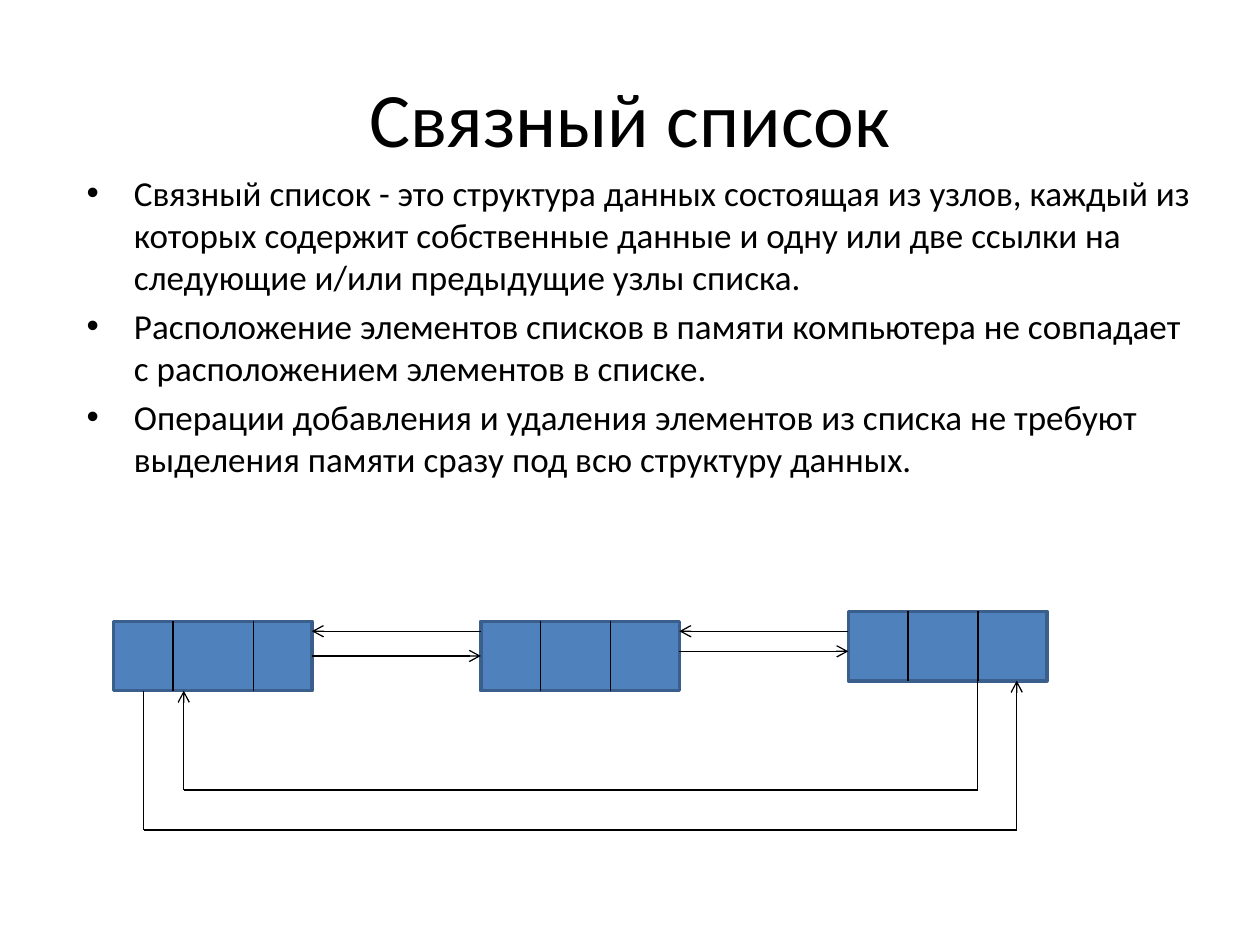
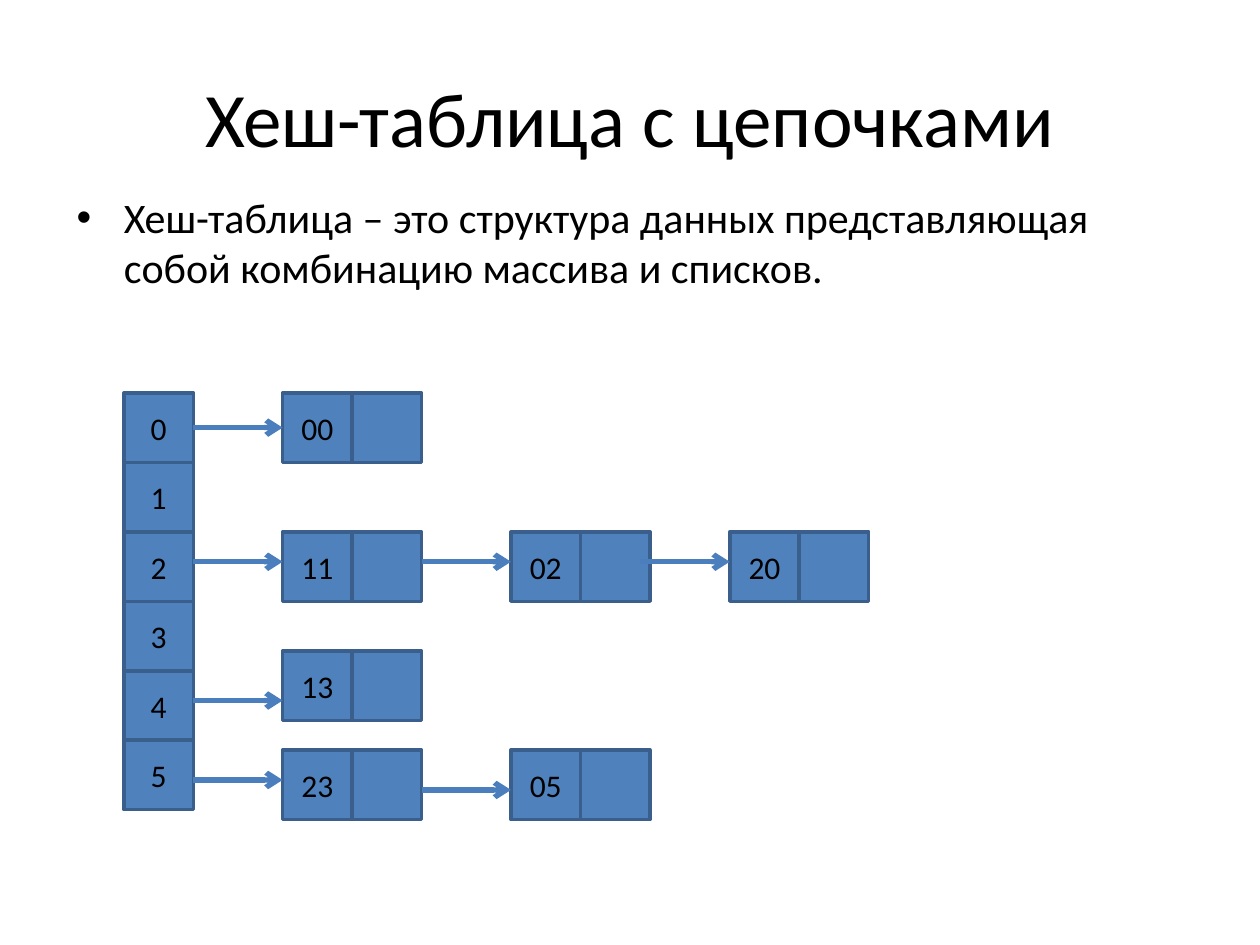
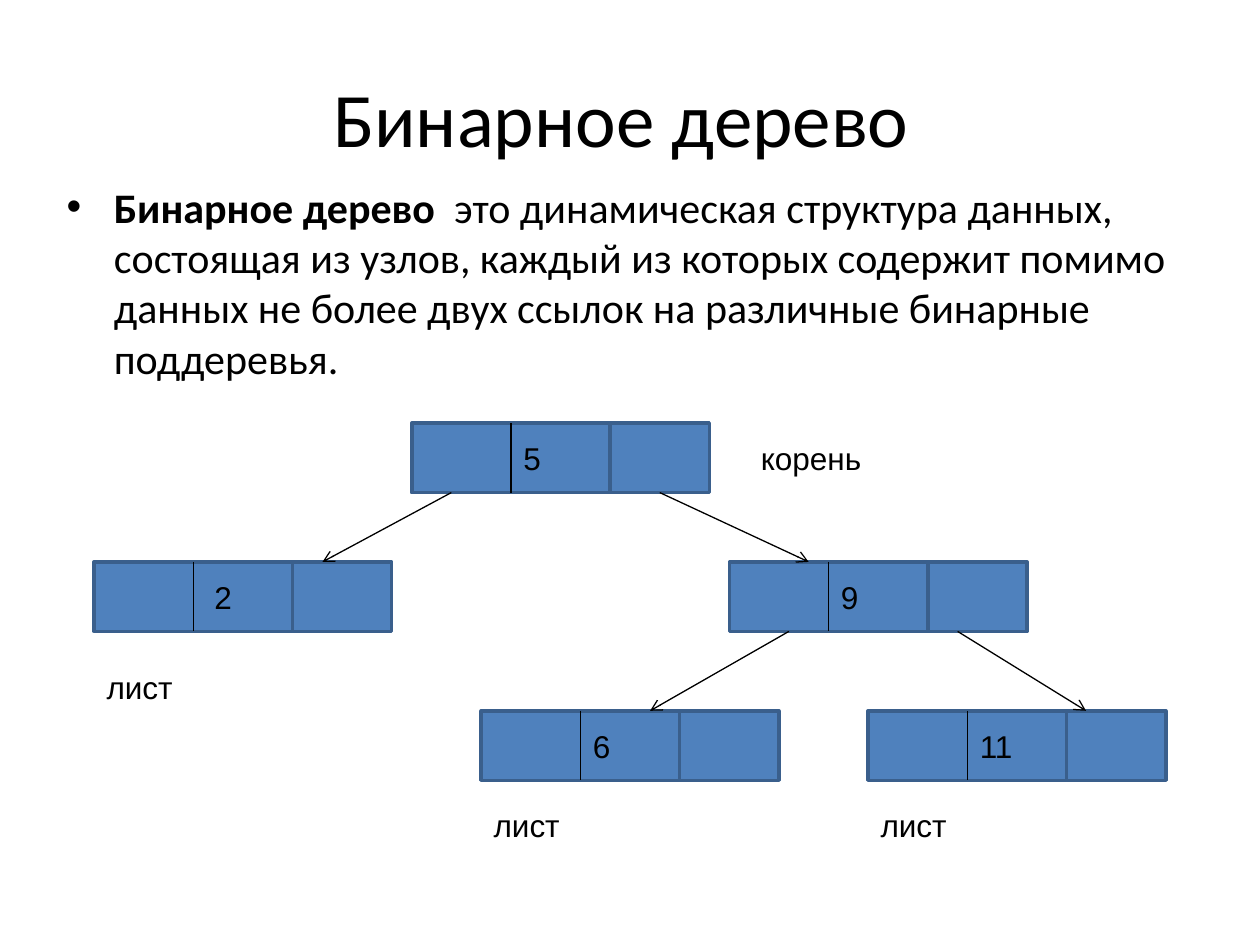
from itertools import pairwise

from lxml.etree import SubElement
from pptx import Presentation
from pptx.dml.color import RGBColor
from pptx.enum.shapes import MSO_CONNECTOR as Connector, MSO_SHAPE as Shape
from pptx.enum.text import MSO_ANCHOR as Anchor, PP_ALIGN as Align
from pptx.oxml.ns import qn
from pptx.util import Pt

rgb = RGBColor.from_string
BLACK, FILL, BORDER, ARROW = "000000", "4F81BD", "3A5F8C", "4B7EBC"
CELL = 39.7
NODE = 113.4
HALF = NODE / 2
BOTTOM, LEFT, RIGHT = 2, 1, 3


def add_text(slide, text, left, top, width, height, *, size=18, font="Calibri",
             align=Align.LEFT, anchor=Anchor.TOP, bullet=False, bold_lead="", filled=False):
    """Add text, one paragraph a line, in a plain box or in a filled rectangle."""
    place = Pt(left), Pt(top), Pt(width), Pt(height)
    if filled:
        box = slide.shapes.add_shape(Shape.RECTANGLE, *place)
        box.shadow.inherit = False
        box.fill.solid()
        box.fill.fore_color.rgb = rgb(FILL)
        box.line.color.rgb = rgb(BORDER)
        box.line.width = Pt(2)
        align, anchor = Align.CENTER, Anchor.MIDDLE
    else:
        box = slide.shapes.add_textbox(*place)
    frame = box.text_frame
    frame.word_wrap = True
    frame.vertical_anchor = anchor
    for i, line in enumerate(text.split("\n")):
        paragraph = frame.add_paragraph() if i else frame.paragraphs[0]
        paragraph.alignment = align
        if bullet:
            paragraph.space_before = Pt(size * 0.2)
            props = paragraph._p.get_or_add_pPr()
            props.set("marL", str(Pt(27)))
            props.set("indent", str(Pt(-27)))
            SubElement(props, qn("a:buFont"), typeface="Arial")
            SubElement(props, qn("a:buChar"), char="•")
        for part, bold in ((bold_lead, True), (line, False)):
            if part:
                run = paragraph.add_run()
                run.text = part
                run.font.name = font
                run.font.size = Pt(size)
                run.font.bold = bold
                run.font.color.rgb = rgb(BLACK)
    return box


def add_line(slide, start, end, *, color=BLACK, width=0.75, arrow=False,
             begin_at=None, end_at=None):
    """Draw a line; begin_at and end_at are (shape, side) pairs to join."""
    line = slide.shapes.add_connector(Connector.STRAIGHT, *map(Pt, (*start, *end)))
    line.line.color.rgb = rgb(color)
    line.line.width = Pt(width)
    if arrow:
        SubElement(line.line._get_or_add_ln(), qn("a:tailEnd"), type="arrow")
    SubElement(line._element.spPr, qn("a:effectLst"))
    if begin_at:
        line.begin_connect(*begin_at)
    if end_at:
        line.end_connect(*end_at)


prs = Presentation()
prs.slide_width, prs.slide_height = Pt(720), Pt(540)

slides = []
for title in ("Связный список", "Хеш-таблица с цепочками", "Бинарное дерево "):
    slide = prs.slides.add_slide(prs.slide_layouts[6])
    add_text(slide, title, 36, 21.6, 648, 90, size=44,
             align=Align.CENTER, anchor=Anchor.MIDDLE)
    slides.append(slide)
linked_list, hash_table, tree = slides

# Linked list
add_text(
    linked_list,
    "Связный список - это структура данных состоящая из узлов, каждый из которых содержит "
    "собственные данные и одну или две ссылки на следующие и/или предыдущие узлы списка.\n"
    "Расположение элементов списков в памяти компьютера не совпадает с расположением "
    "элементов в списке.\n"
    "Операции добавления и удаления элементов из списка не требуют выделения памяти сразу "
    "под всю структуру данных.",
    42.5, 94.3, 648, 206.6, size=20, bullet=True)

nodes = []
for i, (top, second_divider) in enumerate([(355, 80), (355, 74), (349.3, 74)]):
    left = 64.8 + 210 * i
    nodes.append(add_text(linked_list, "", left, top, NODE, CELL, filled=True))
    for offset in (34, second_divider):
        add_line(linked_list, (left + offset, top), (left + offset, top + CELL))

first, second, third = [64.8 + 210 * i for i in range(3)]
add_line(linked_list, (first + NODE, 374.9), (second, 374.9), arrow=True,
         begin_at=(nodes[0], RIGHT), end_at=(nodes[1], LEFT))
add_line(linked_list, (second + NODE, 372.2), (third, 372.2), arrow=True)
for left in (first, second):
    add_line(linked_list, (left + 210, 360.7), (left + NODE, 360.7), arrow=True)

ring_links = [
    [(82.2, 394.7), (82.2, 474.3), (581, 474.3), (581, 389)],
    [(558.6, 389), (558.6, 451.5), (105, 451.5), (105, 394.7)],
]
for corners in ring_links:
    for i, (start, end) in enumerate(pairwise(corners)):
        add_line(linked_list, start, end, arrow=i == 2)

# Hash table
add_text(hash_table,
         "Хеш-таблица – это структура данных представляющая собой комбинацию массива и списков.",
         36.7, 105.8, 648, 356.4, size=24, bullet=True)

buckets = [add_text(hash_table, str(i), 70.8, 224.5 + CELL * i, CELL, CELL, filled=True)
           for i in range(6)]
node_lefts = (161.5, 292, 417)
chains = [  # top, values, height of the arrow to each node
    (224.5, ["00"], [244.35]),
    (303.9, ["11", "02", "20"], [321, 321, 321]),
    (372, ["13"], [400.3]),
    (428.6, ["23", "05"], [445.7, 451.4]),
]
for top, values, arrow_heights in chains:
    for left, value, y in zip(node_lefts, values, arrow_heights):
        node = add_text(hash_table, value, left, top, CELL, CELL, filled=True)
        add_text(hash_table, "", left + CELL, top, CELL, CELL, filled=True)
        level = value == "00"
        add_line(hash_table, (left - 51, y), (left, y), color=ARROW, width=3, arrow=True,
                 begin_at=(buckets[0], RIGHT) if level else None,
                 end_at=(node, LEFT) if level else None)

# Binary tree
add_text(tree,
         "  это динамическая структура данных, состоящая из узлов, каждый из которых содержит "
         "помимо данных не более двух ссылок на различные бинарные поддеревья.",
         31, 100, 648, 126.7, size=24, bullet=True, bold_lead="Бинарное дерево")

right_links = {}
tree_nodes = [  # value, left, top, shift of the value
    ("5", 235.3, 241.8, 0),
    ("2", 53.8, 321.1, 5),
    ("9", 416.8, 321.1, 0),
    ("11", 496.1, 406.2, 0),
    ("6", 275, 406.2, 0),
]
for value, left, top, shift in tree_nodes:
    add_text(tree, "", left, top, NODE, CELL, filled=True)
    add_line(tree, (left + HALF, top), (left + HALF, top + CELL))
    right_links[value] = add_text(tree, "", left + NODE, top, HALF, CELL, filled=True)
    add_text(tree, value, left + HALF + shift, top + 5.6, HALF, 28.8, font="Arial")

add_line(tree, (263.65 + 113.4, 281.5), (462.1, 321.1), arrow=True,
         begin_at=(right_links["5"], BOTTOM))
for start, end in [((257.9, 281.5), (184.3, 321.1)),
                   ((450.8, 360.8), (371.5, 406.2)),
                   ((547.2, 360.8), (620.6, 406.2))]:
    add_line(tree, start, end, arrow=True)

for label, left, top in [("корень", 427.7, 247.6), ("лист", 53.8, 378),
                         ("лист", 275, 457.2), ("лист", 496.1, 457.2)]:
    add_text(tree, label, left, top, 141.8, 28.8, font="Arial")

prs.save("out.pptx")
